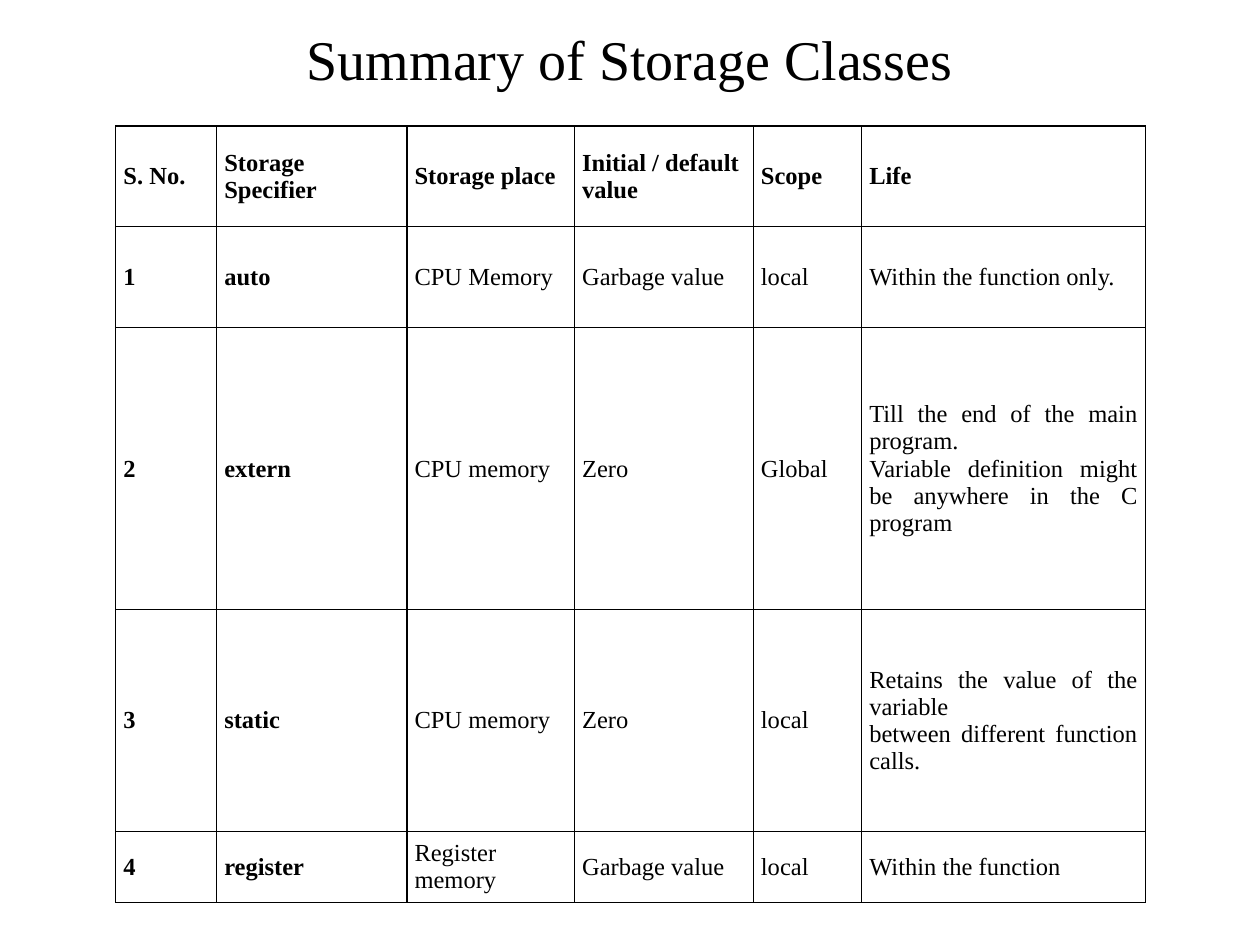
import copy
from dataclasses import dataclass

import lxml.etree
import pptx
import pptx.dml.color
import pptx.enum.text
import pptx.oxml.ns
import pptx.table
import pptx.text.text
import pptx.util

Inches = pptx.util.Inches
Align = pptx.enum.text.PP_ALIGN
Anchor = pptx.enum.text.MSO_ANCHOR
qn = pptx.oxml.ns.qn

FONT = "Times New Roman"
BLACK = "000000"
COLUMN_WIDTHS = [0.8, 1.51, 1.33, 1.42, 0.86, 2.25]
ROW_HEIGHTS = [0.8, 0.8, 2.24, 1.76, 0.56]
HEADINGS = ["S. No.", "Storage Specifier", "Storage place",
            "Initial / default value", "Scope", "Life"]


@dataclass
class StorageClass:
    specifier: str
    place: str
    default: str
    scope: str
    life: str


STORAGE_CLASSES = [
    StorageClass("auto", "CPU Memory", "Garbage value", "local", "Within the function only."),
    StorageClass("extern", "CPU memory", "Zero", "Global",
                 "Till the end of the main program.\n"
                 "Variable definition might be anywhere in the C program"),
    StorageClass("static", "CPU memory", "Zero", "local",
                 "Retains the value of the variable\nbetween different function calls."),
    StorageClass("register", "Register memory", "Garbage value", "local", "Within the function"),
]


def color(value: str) -> pptx.dml.color.RGBColor:
    return pptx.dml.color.RGBColor.from_string(value)


def write_text(frame: pptx.text.text.TextFrame, text: str, *, size: float,
               bold: bool = False, align: Align = Align.LEFT) -> None:
    """Fill a frame with one paragraph; newlines become line breaks."""
    frame.word_wrap = True
    paragraph = frame.paragraphs[0]
    paragraph.text = text
    paragraph.alignment = align
    for run in paragraph.runs:
        run.font.name = FONT
        run.font.size = pptx.util.Pt(size)
        run.font.bold = bold
        run.font.color.rgb = color(BLACK)
    # Line breaks take the format of the text around them
    run_format = paragraph.runs[0]._r.find(qn("a:rPr"))
    for line_break in paragraph._p.findall(qn("a:br")):
        line_break.append(copy.deepcopy(run_format))


def add_borders(cell: pptx.table._Cell, line_color: str, width: float) -> None:
    properties = cell._tc.get_or_add_tcPr()
    for index, side in enumerate(("lnL", "lnR", "lnT", "lnB")):
        line = lxml.etree.Element(qn(f"a:{side}"), w=str(pptx.util.Pt(width)))
        fill = lxml.etree.SubElement(line, qn("a:solidFill"))
        lxml.etree.SubElement(fill, qn("a:srgbClr"), val=line_color)
        properties.insert(index, line)


def fill_cell(cell: pptx.table._Cell, text: str, *, bold: bool, align: Align) -> None:
    cell.fill.background()
    cell.vertical_anchor = Anchor.MIDDLE
    cell.margin_left = cell.margin_right = Inches(0.06)
    cell.margin_top = cell.margin_bottom = Inches(0.03)
    write_text(cell.text_frame, text, size=14, bold=bold, align=align)
    add_borders(cell, BLACK, 0.75)


def main() -> None:
    presentation = pptx.Presentation()
    presentation.slide_width = Inches(10)
    presentation.slide_height = Inches(7.5)
    slide = presentation.slides.add_slide(presentation.slide_layouts[6])

    # Title
    title = slide.shapes.add_textbox(Inches(0.5), Inches(0), Inches(9), Inches(0.92))
    title.text_frame.vertical_anchor = Anchor.MIDDLE
    write_text(title.text_frame, "Summary of Storage Classes", size=32, align=Align.CENTER)

    # Table grid
    table = slide.shapes.add_table(
        len(ROW_HEIGHTS), len(COLUMN_WIDTHS), Inches(0.92), Inches(1),
        Inches(sum(COLUMN_WIDTHS)), Inches(sum(ROW_HEIGHTS))).table
    for column, width in zip(table.columns, COLUMN_WIDTHS):
        column.width = Inches(width)
    for row, height in zip(table.rows, ROW_HEIGHTS):
        row.height = Inches(height)

    # Table text: bold header and first two columns, justified life column
    rows = [HEADINGS] + [
        [str(number), item.specifier, item.place, item.default, item.scope, item.life]
        for number, item in enumerate(STORAGE_CLASSES, start=1)]
    life_column = len(HEADINGS) - 1
    for row_index, texts in enumerate(rows):
        for column_index, text in enumerate(texts):
            is_header = row_index == 0
            justified = column_index == life_column and not is_header
            fill_cell(table.cell(row_index, column_index), text,
                      bold=is_header or column_index < 2,
                      align=Align.JUSTIFY if justified else Align.LEFT)

    presentation.save("out.pptx")


if __name__ == "__main__":
    main()
